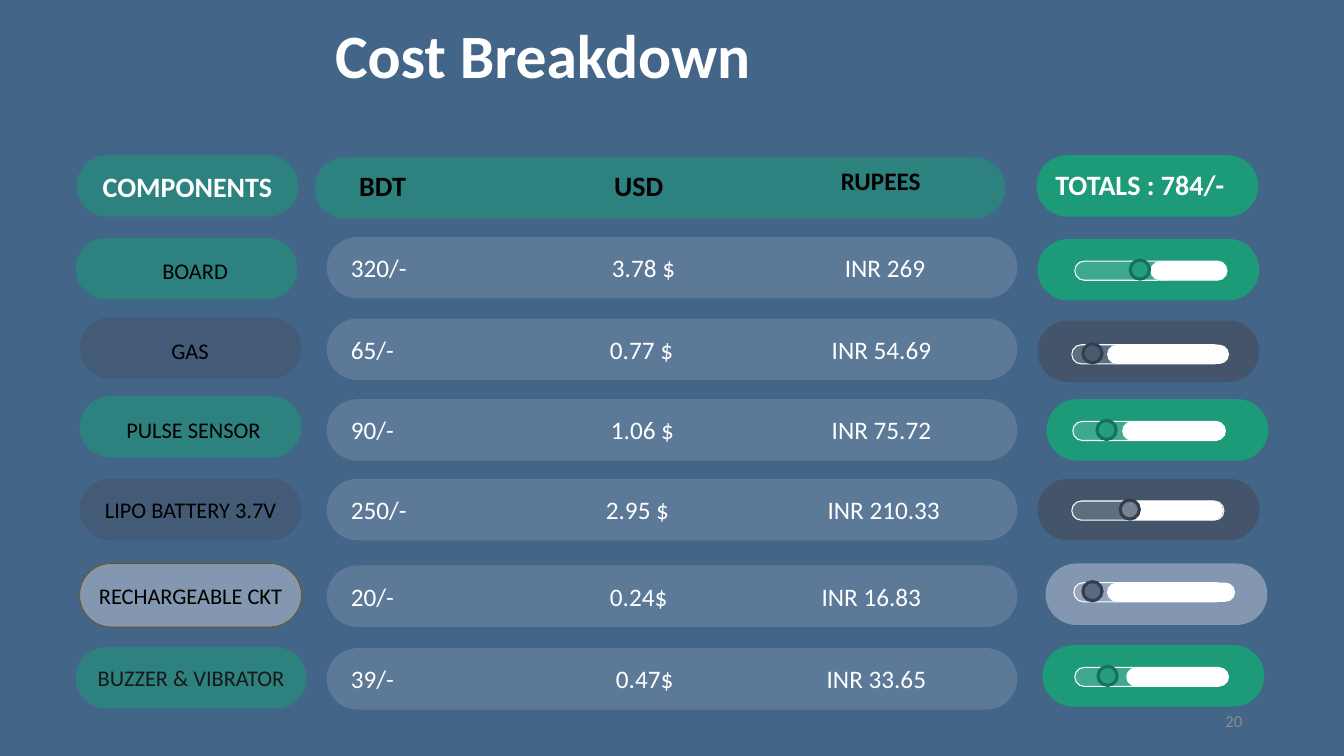
from lxml import etree
from pptx import Presentation
from pptx import util as u
from pptx.dml.color import RGBColor
from pptx.enum import shapes, text
from pptx.oxml import ns

PX = 9144
FONT = "Calibri"
WHITE, BLACK = "FFFFFF", "000000"
GREEN, DARK_GREEN = "1D9A78", "157259"
SLATE, DARK_SLATE = "44546A", "333F50"
STEEL, MIST = "8497B0", "ADB9CA"
PILL = shapes.MSO_SHAPE.ROUNDED_RECTANGLE
CIRCLE = shapes.MSO_SHAPE.OVAL
LEFT, CENTER, RIGHT = text.PP_ALIGN.LEFT, text.PP_ALIGN.CENTER, text.PP_ALIGN.RIGHT

PILL_WIDTH, PILL_HEIGHT = 220, 61
BAR_LEFT, BAR_WIDTH = 324, 685
BAR_INSET, TEXT_LEFT = 15, 348

COMPONENT_PILLS = [
    (75, 236, GREEN), (79, 315, SLATE), (79, 393, GREEN), (79, 475, SLATE),
]
COMPONENT_LABELS = [
    ("BOARD", 155, 255, 77), ("GAS", 150, 334, 77),
    ("PULSE SENSOR", 109, 413, 166), ("LIPO BATTERY 3.7V", 90, 492, 198),
]
COST_ROWS = [
    (235, "320/-", "3.78 $", "INR 269", 607, 838),
    (316, "65/-", "0.77 $", "INR 54.69", 605, 825),
    (396, "90/-", "1.06 $", "INR 75.72", 606, 825),
    (475, "250/-", "2.95 $", "INR 210.33", 601, 821),
    (561, "20/-", "0.24$", "INR 16.83", 605, 815),
    (643, "39/-", "0.47$", "INR 33.65", 611, 820),
]
TOTAL_SLIDERS = [
    (1029, 237, GREEN, 1066, 259, 1121, 1141, 76),
    (1029, 318, SLATE, 1063, 342, 1074, 1098, 121),
    (1038, 396, GREEN, 1064, 418, 1088, 1113, 103),
    (1029, 475, SLATE, 1063, 497, 1111, 1112, 101),
    (1037, 559, STEEL, 1065, 578, 1074, 1098, 127),
    (1034, 640, GREEN, 1066, 662, 1089, 1117, 102),
]


def px(value):
    return u.Emu(value * PX)


def color(value):
    return RGBColor.from_string(value)


def write(frame, words, size=16, fill=BLACK, bold=False, align=CENTER, inset=0, tabs=()):
    frame.word_wrap = True
    frame.auto_size = text.MSO_AUTO_SIZE.NONE
    frame.vertical_anchor = text.MSO_ANCHOR.MIDDLE
    frame.margin_left = frame.margin_right = px(inset)
    frame.margin_top = frame.margin_bottom = 0
    para = frame.paragraphs[0]
    para.alignment = align
    if tabs:
        stops = etree.SubElement(para._p.get_or_add_pPr(), ns.qn("a:tabLst"))
        for stop in tabs:
            etree.SubElement(stops, ns.qn("a:tab"), pos=str(px(stop)), algn="l")
    span = para.add_run()
    span.text = words
    span.font.name = FONT
    span.font.size = u.Pt(size)
    span.font.bold = bold
    span.font.color.rgb = color(fill)


def add_label(page, words, left, top, width, height=27, **style):
    box = page.shapes.add_textbox(px(left), px(top), px(width), px(height))
    write(box.text_frame, words, **style)


def add_figure(parent, kind, left, top, width, height, fill, opacity=100, line=None, weight=1):
    figure = parent.shapes.add_shape(kind, px(left), px(top), px(width), px(height))
    figure.shadow.inherit = False
    if kind == PILL:
        figure.adjustments[0] = 0.5
    figure.fill.solid()
    figure.fill.fore_color.rgb = color(fill)
    if opacity < 100:
        tint = figure.element.spPr.find(ns.qn("a:solidFill"))[0]
        etree.SubElement(tint, ns.qn("a:alpha"), val=str(opacity * 1000))
    if line:
        figure.line.color.rgb = color(line)
        figure.line.width = u.Pt(weight)
    else:
        figure.line.fill.background()
    return figure


def add_pill(page, left, top, fill, width=PILL_WIDTH, height=PILL_HEIGHT, **look):
    return add_figure(page, PILL, left, top, width, height, fill, **look)


def add_cost_row(page, top, bdt, usd, rupees, usd_left, rupees_left):
    bar = add_pill(page, BAR_LEFT, top, MIST, width=BAR_WIDTH, opacity=25)
    write(bar.text_frame, f"{bdt}\t{usd}\t{rupees}", size=18, fill=WHITE, align=LEFT,
          inset=BAR_INSET, tabs=(usd_left - TEXT_LEFT, rupees_left - TEXT_LEFT))


def add_total_slider(page, left, top, fill, track_left, track_top, knob_left, rest_left, rest_width):
    add_pill(page, left, top, fill)
    knob_fill, knob_line = (GREEN, DARK_GREEN) if fill == GREEN else (SLATE, DARK_SLATE)
    slider = page.shapes.add_group_shape()
    add_figure(slider, PILL, track_left, track_top, 151, 19, WHITE, opacity=15, line=WHITE, weight=0.75)
    add_figure(slider, PILL, rest_left, track_top, rest_width, 19, WHITE)
    add_figure(slider, CIRCLE, knob_left, track_top - 1, 19, 19, knob_fill, opacity=73,
               line=knob_line, weight=2.25)


def add_title(page, words):
    title = page.shapes.title
    title.left, title.top, title.width, title.height = px(32), px(16), px(1013), px(74)
    write(title.text_frame, words, size=44, fill=WHITE, bold=True)


def add_headers(page):
    components = add_pill(page, 76, 154, GREEN, opacity=55)
    write(components.text_frame, "COMPONENTS", size=20, fill=WHITE, bold=True)
    add_pill(page, 312, 156, GREEN, width=BAR_WIDTH, opacity=55)
    add_label(page, "BDT", 337, 167, 85, 34, size=20, bold=True)
    add_label(page, "USD", 596, 167, 75, 34, size=20, bold=True)
    add_label(page, "RUPEES", 800, 164, 147, 30, size=18, bold=True)
    add_pill(page, 1028, 154, GREEN)
    add_label(page, "TOTALS : 784/-", 1040, 166, 181, 34, size=20, fill=WHITE, bold=True)


def add_components(page):
    for left, top, fill in COMPONENT_PILLS:
        add_pill(page, left, top, fill, opacity=55)
    for words, left, top, width in COMPONENT_LABELS:
        add_label(page, words, left, top, width)
    charger = add_pill(page, 79, 559, STEEL, height=63, line="7D5008", weight=0.5)
    write(charger.text_frame, "RECHARGEABLE CKT")
    buzzer = add_pill(page, 75, 642, GREEN, width=229, opacity=55)
    write(buzzer.text_frame, "BUZZER & VIBRATOR", fill="181717")


def main():
    deck = Presentation()
    deck.slide_width, deck.slide_height = px(1333), px(750)
    page = deck.slides.add_slide(deck.slide_layouts[5])
    page.background.fill.solid()
    page.background.fill.fore_color.rgb = color("426588")
    add_title(page, "Cost Breakdown")
    add_headers(page)
    add_components(page)
    for row in COST_ROWS:
        add_cost_row(page, *row)
    for slider in TOTAL_SLIDERS:
        add_total_slider(page, *slider)
    add_label(page, "20", 942, 695, 300, 40, size=12, fill="8C8C8C", align=RIGHT, inset=10)
    deck.save("out.pptx")


if __name__ == "__main__":
    main()
